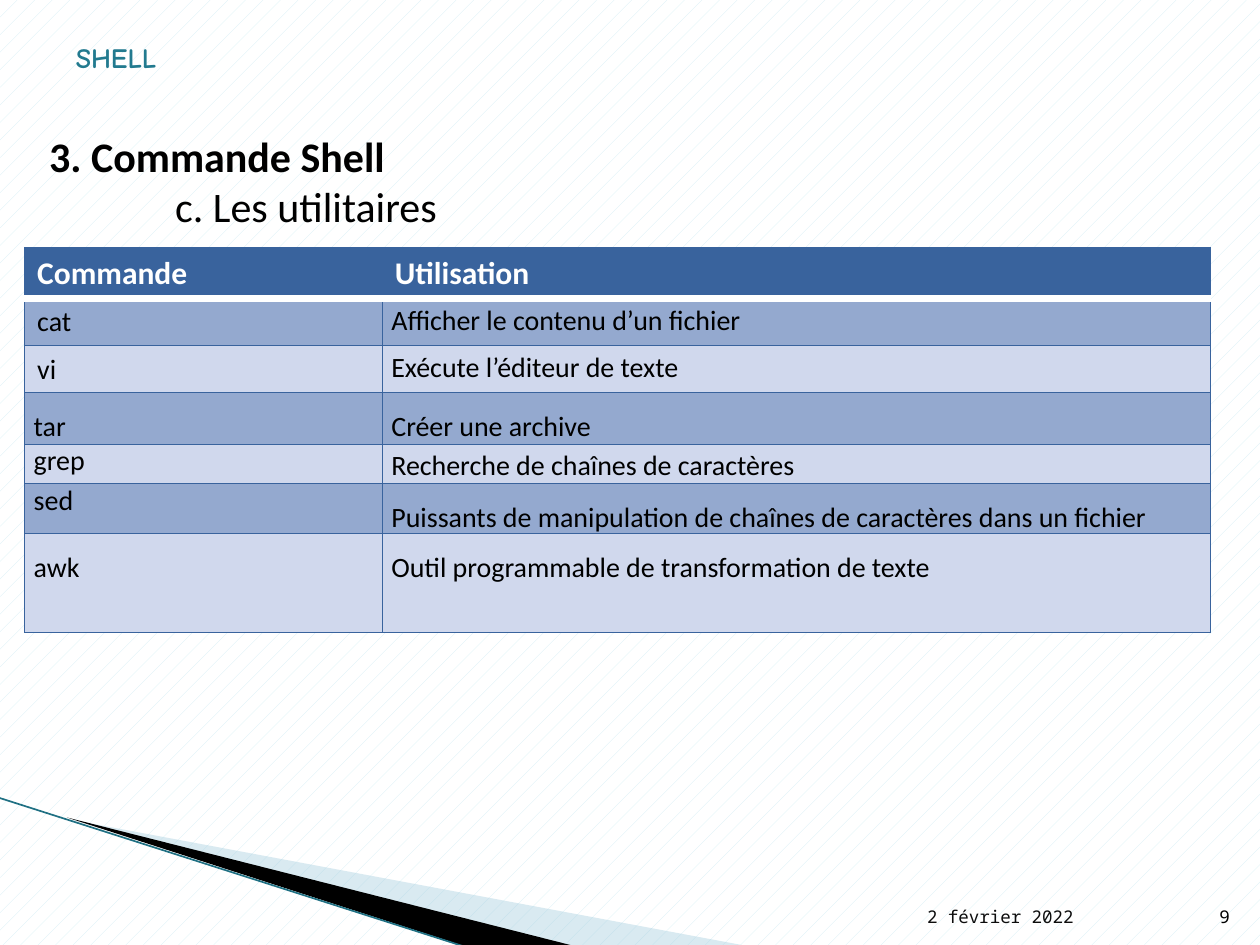
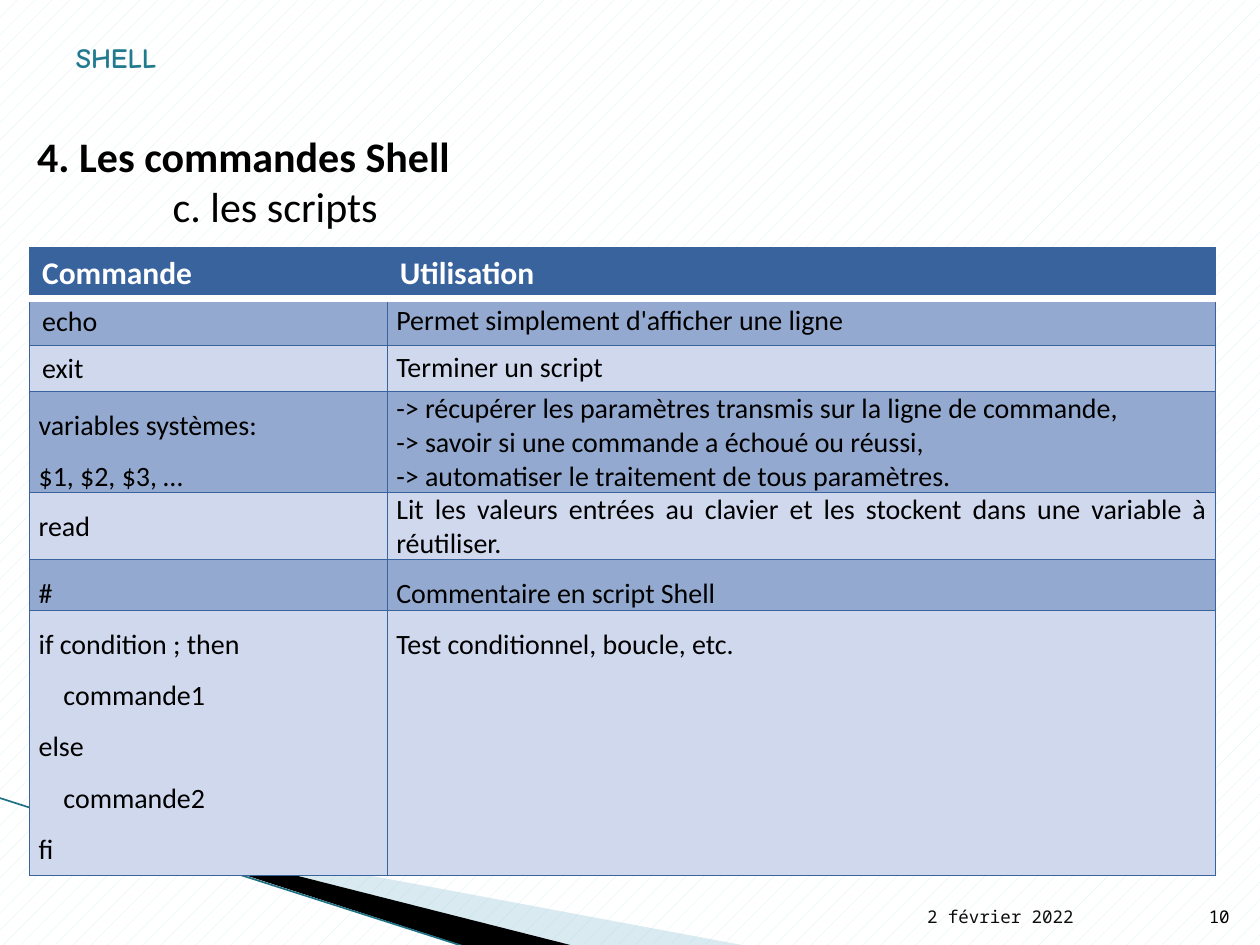
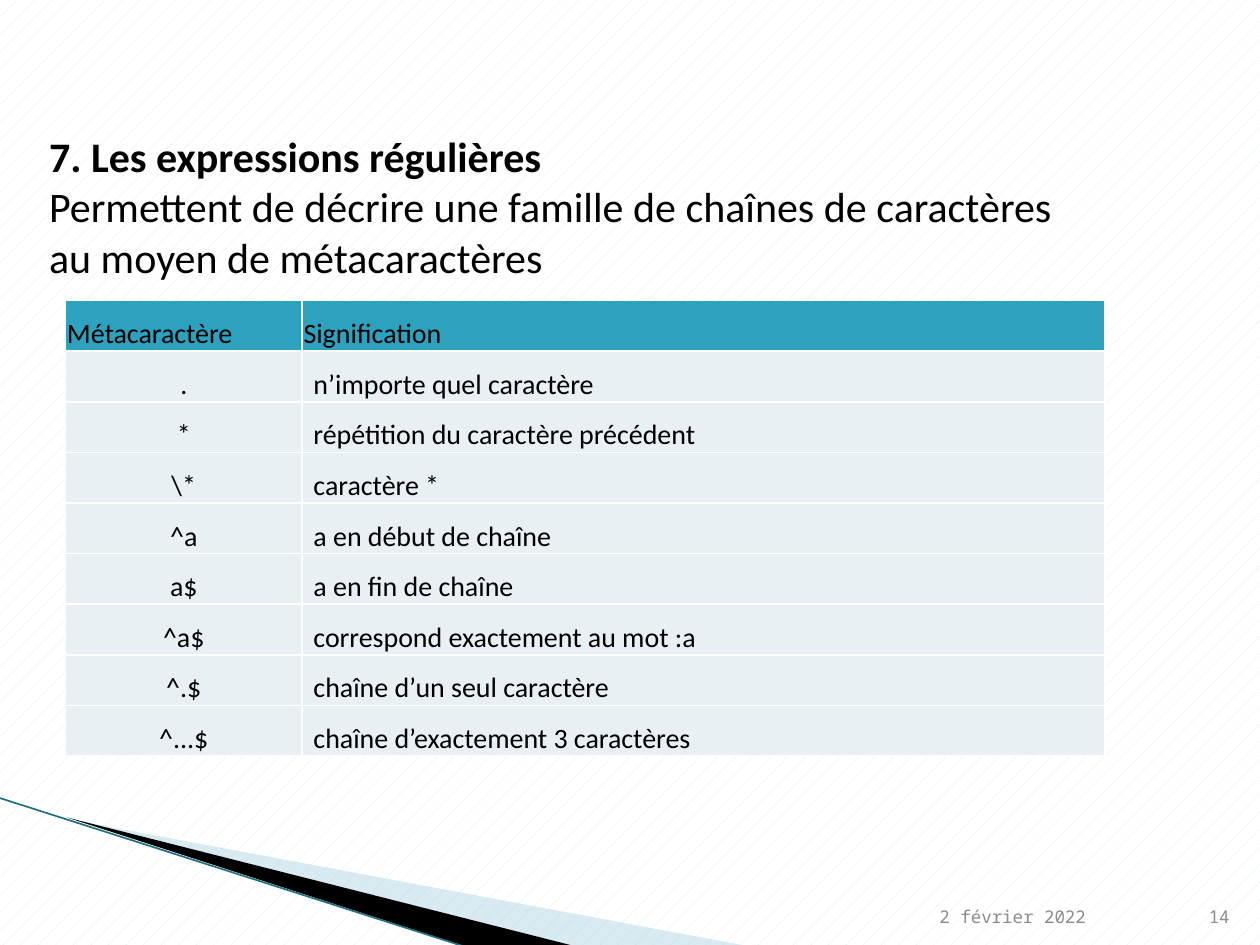
from dataclasses import dataclass

import pptx
import pptx.dml.color
import pptx.enum.dml
import pptx.enum.shapes
import pptx.enum.text
import pptx.util
from lxml import etree
from pptx.dml.color import RGBColor
from pptx.enum.text import MSO_ANCHOR, PP_ALIGN
from pptx.oxml.ns import qn
from pptx.util import Cm

BLACK = RGBColor(0x00, 0x00, 0x00)
WHITE = RGBColor(0xFF, 0xFF, 0xFF)
DATE_BLACK = RGBColor(0x0D, 0x0D, 0x0D)
FOOTER_GREY = RGBColor(0x8C, 0x8C, 0x8C)
PATTERN_BLUE = RGBColor(0xD3, 0xEE, 0xF5)
SWOOSH_BLUE = RGBColor(0xA0, 0xCB, 0xDC)
SWOOSH_LINE = RGBColor(0x1F, 0x70, 0x83)
SHELL_TEAL = RGBColor(0x22, 0x7A, 0x8F)
HEADER_BLUE = RGBColor(0x39, 0x63, 0x9D)
DARK_BAND = RGBColor(0x94, 0xA9, 0xCF)
LIGHT_BAND = RGBColor(0xD0, 0xD8, 0xED)
HEADER_TEAL = RGBColor(0x2D, 0xA2, 0xBF)
PALE_TEAL = RGBColor(0xE8, 0xF0, 0xF4)

BODY_FONT = "Calibri"
FOOTER_FONT = "Noto Sans Mono"
SHELL_FONT = "Comic Neue"

DEFAULT_MARGINS = (0.25, 0.13, 0.25, 0.13)
TIGHT_MARGINS = (0.18, 0, 0.18, 0)
TITLE_ONLY = 5


@dataclass
class Entry:
    lines: tuple
    spacing: float = 1.5
    align: PP_ALIGN = PP_ALIGN.LEFT
    margins: tuple = TIGHT_MARGINS
    indented: tuple = ()


def name(text):
    return Entry((text,), 1, margins=DEFAULT_MARGINS)


def usage(*lines, spacing=1.5):
    return Entry(lines, spacing, PP_ALIGN.JUSTIFY)


def short_usage(text):
    return Entry((text,), 1.15)


UTILITIES = [
    (name("cat"), short_usage("Afficher le contenu d’un fichier")),
    (name("vi"), short_usage("Exécute l’éditeur de texte")),
    (Entry(("tar",)), usage("Créer une archive")),
    (Entry(("grep",), 1), short_usage("Recherche de chaînes de caractères")),
    (Entry(("sed",), 1),
     usage("Puissants de manipulation de chaînes de caractères dans un fichier")),
    (Entry(("awk",)), usage("Outil programmable de transformation de texte")),
]

SCRIPTS = [
    (name("echo"), short_usage("Permet simplement d'afficher une ligne")),
    (name("exit"), short_usage("Terminer un script")),
    (Entry(("variables systèmes:", "$1, $2, $3, …")),
     usage("-> récupérer les paramètres transmis sur la ligne de commande,",
           "-> savoir si une commande a échoué ou réussi,",
           "-> automatiser le traitement de tous paramètres.", spacing=1)),
    (Entry(("read",)),
     usage("Lit les valeurs entrées au clavier et les stockent dans une variable à réutiliser.",
           spacing=1)),
    (Entry(("#",)), usage("Commentaire en script Shell")),
    (Entry(("if condition ; then", "commande1", "else", "commande2", "fi"),
           indented=("commande1", "commande2")),
     usage("Test conditionnel, boucle, etc.")),
]

METACHARACTERS = [
    (".", "n’importe quel caractère"),
    ("*", "répétition du caractère précédent"),
    ("\\*", "caractère *"),
    ("^a", "a en début de chaîne"),
    ("a$", "a en fin de chaîne"),
    ("^a$", "correspond exactement au mot :a"),
    ("^.$", "chaîne d’un seul caractère"),
    ("^...$", "chaîne d’exactement 3 caractères"),
]


def add_run(paragraph, text, size, font=BODY_FONT, color=BLACK, bold=False):
    run = paragraph.add_run()
    run.text = text
    run.font.size = pptx.util.Pt(size)
    run.font.name = font
    run.font.bold = bold
    run.font.color.rgb = color


def next_paragraph(text_frame, index):
    return text_frame.add_paragraph() if index else text_frame.paragraphs[0]


def indent(paragraph, width):
    properties = paragraph._p.get_or_add_pPr()
    properties.set("marL", str(Cm(width)))
    properties.set("indent", "0")


def set_margins(target, margins):
    left, top, right, bottom = (Cm(margin) for margin in margins)
    target.margin_left, target.margin_top = left, top
    target.margin_right, target.margin_bottom = right, bottom


def set_background(presentation):
    fill = presentation.slide_master.background.fill
    fill.patterned()
    fill.pattern = pptx.enum.dml.MSO_PATTERN.PERCENT_5
    fill.fore_color.rgb = PATTERN_BLUE
    fill.back_color.rgb = WHITE


def add_wedge(slide, points, color, opacity=100):
    corners = [(Cm(x), Cm(y)) for x, y in points]
    builder = slide.shapes.build_freeform(*corners[0])
    builder.add_line_segments(corners[1:], close=True)
    shape = builder.convert_to_shape()
    shape.shadow.inherit = False
    shape.line.fill.background()
    shape.fill.solid()
    shape.fill.fore_color.rgb = color
    if opacity < 100:
        color_element = shape.element.spPr.find(qn("a:solidFill"))[0]
        etree.SubElement(color_element, qn("a:alpha"), val=str(opacity * 1000))


def add_swoosh(slide):
    add_wedge(slide, [(1.4, 16.52), (15.11, 19.08), (11.58, 19.08)], SWOOSH_BLUE, 40)
    add_wedge(slide, [(1.35, 16.48), (11.61, 19.08), (9.45, 19.1)], BLACK)
    edge = slide.shapes.add_connector(
        pptx.enum.shapes.MSO_CONNECTOR.STRAIGHT, Cm(-0.03), Cm(16.08), Cm(9.42), Cm(19.1))
    edge.line.color.rgb = SWOOSH_LINE
    edge.line.width = pptx.util.Pt(0.95)
    etree.SubElement(edge.element.spPr, qn("a:effectLst"))


def add_label(slide, text, left, top, width, size, font, color,
              align=PP_ALIGN.RIGHT, bold=False, margins=DEFAULT_MARGINS):
    box = slide.shapes.add_textbox(Cm(left), Cm(top), Cm(width), Cm(1.02))
    text_frame = box.text_frame
    text_frame.word_wrap = True
    text_frame.vertical_anchor = MSO_ANCHOR.BOTTOM
    set_margins(text_frame, margins)
    paragraph = text_frame.paragraphs[0]
    paragraph.alignment = align
    add_run(paragraph, text, size, font, color, bold)


def add_footer(slide, number, date_color, number_color, date_margin):
    add_label(slide, "2 février 2022", 18.69, 17.8, 5.33, 10, FOOTER_FONT, date_color,
              PP_ALIGN.LEFT, margins=(date_margin, 0.13, date_margin, 0.13))
    add_label(slide, number, 24.02, 17.8, 1.02, 10, FOOTER_FONT, number_color)


def add_shell_mark(slide):
    add_label(slide, "SHELL", 0.78, 0.61, 2.62, 16, SHELL_FONT, SHELL_TEAL, bold=True)


def set_heading(slide, heading, details, left, width, height, detail_indent=0):
    title = slide.shapes.title
    title.left, title.top, title.width, title.height = Cm(left), Cm(2.5), Cm(width), Cm(height)
    text_frame = title.text_frame
    text_frame.auto_size = pptx.enum.text.MSO_AUTO_SIZE.NONE
    text_frame.word_wrap = True
    text_frame.vertical_anchor = MSO_ANCHOR.TOP
    set_margins(text_frame, DEFAULT_MARGINS)
    for index, line in enumerate([heading, *details]):
        paragraph = next_paragraph(text_frame, index)
        paragraph.alignment = PP_ALIGN.LEFT
        if index and detail_indent:
            indent(paragraph, detail_indent)
        add_run(paragraph, line, 24, bold=index == 0)


def add_grid(slide, left, top, column_widths, row_heights):
    frame = slide.shapes.add_table(
        len(row_heights), len(column_widths), Cm(left), Cm(top),
        Cm(sum(column_widths)), Cm(sum(row_heights)))
    table = frame.table
    for column, width in zip(table.columns, column_widths):
        column.width = Cm(width)
    for row, height in zip(table.rows, row_heights):
        row.height = Cm(height)
    return table


def set_borders(cell, color, width, **special):
    properties = cell._tc.get_or_add_tcPr()
    for side in ("L", "R", "T", "B"):
        side_color, side_width = special.get(side, (color, width))
        line = etree.SubElement(properties, qn(f"a:ln{side}"),
                                w=str(pptx.util.Pt(side_width)))
        fill = etree.SubElement(line, qn("a:solidFill"))
        etree.SubElement(fill, qn("a:srgbClr"), val=str(side_color))


def fill_cell(cell, entry, fill_color, size=16, color=BLACK, bold=False,
              anchor=MSO_ANCHOR.TOP):
    cell.fill.solid()
    cell.fill.fore_color.rgb = fill_color
    cell.vertical_anchor = anchor
    set_margins(cell, entry.margins)
    for index, line in enumerate(entry.lines):
        paragraph = next_paragraph(cell.text_frame, index)
        paragraph.alignment = entry.align
        paragraph.line_spacing = float(entry.spacing)
        if line in entry.indented:
            indent(paragraph, 0.5)
        add_run(paragraph, line, size, color=color, bold=bold)


def add_command_table(slide, left, commands, row_heights):
    table = add_grid(slide, left, 5, [7.21, 16.7], row_heights)
    separator = (WHITE, 4.33)
    for column, text in enumerate(("Commande", "Utilisation")):
        cell = table.cell(0, column)
        set_borders(cell, HEADER_BLUE, 0.75, B=separator)
        fill_cell(cell, name(text), HEADER_BLUE, 18, WHITE, True)
    for row, entries in enumerate(commands, start=1):
        special = {"T": separator} if row == 1 else {}
        for column, entry in enumerate(entries):
            cell = table.cell(row, column)
            set_borders(cell, HEADER_BLUE, 0.75, **special)
            fill_cell(cell, entry, DARK_BAND if row % 2 else LIGHT_BAND)


def add_metacharacter_table(slide):
    rows = [("Métacaractère", "Signification"), *METACHARACTERS]
    table = add_grid(slide, 1.32, 6.06, [4.77, 16.19], [1.02] * len(rows))
    for row, texts in enumerate(rows):
        for column, text in enumerate(texts):
            left_margin = 0.23 if row and column else 0.03
            align = PP_ALIGN.CENTER if row and not column else PP_ALIGN.LEFT
            entry = Entry((text,), 1, align, (left_margin, 0.03, 0.03, 0))
            cell = table.cell(row, column)
            set_borders(cell, WHITE, 1)
            fill_cell(cell, entry, PALE_TEAL if row else HEADER_TEAL,
                      anchor=MSO_ANCHOR.BOTTOM)


def add_slide(presentation):
    slide = presentation.slides.add_slide(presentation.slide_layouts[TITLE_ONLY])
    add_swoosh(slide)
    return slide


def add_command_slide(presentation, number, heading, detail, heading_left, heading_width,
                      detail_indent, table_left, commands, row_heights):
    slide = add_slide(presentation)
    add_footer(slide, number, DATE_BLACK, BLACK, 0)
    add_shell_mark(slide)
    set_heading(slide, heading, [detail], heading_left, heading_width, 2.31, detail_indent)
    add_command_table(slide, table_left, commands, row_heights)


def add_expression_slide(presentation):
    slide = add_slide(presentation)
    add_footer(slide, "14", FOOTER_GREY, FOOTER_GREY, 0.25)
    set_heading(slide, "7. Les expressions régulières",
                ["Permettent de décrire une famille de chaînes de caractères",
                 "au moyen de métacaractères"], 0.74, 23.9, 4.37)
    add_metacharacter_table(slide)


def main():
    presentation = pptx.Presentation()
    presentation.slide_width = Cm(25.4)
    presentation.slide_height = Cm(19.05)
    set_background(presentation)
    add_command_slide(presentation, "9", "3. Commande Shell", "c. Les utilitaires",
                      0.74, 23.9, 2.54, 0.5, UTILITIES,
                      [1.02, 0.95, 0.94, 1.04, 0.79, 1.02, 1.98])
    add_command_slide(presentation, "10", "4. Les commandes Shell", "c. les scripts",
                      0.5, 21.84, 2.73, 0.6, SCRIPTS,
                      [1.02, 0.91, 0.93, 2.02, 1.35, 1.02, 5.34])
    add_expression_slide(presentation)
    presentation.save("out.pptx")


if __name__ == "__main__":
    main()
